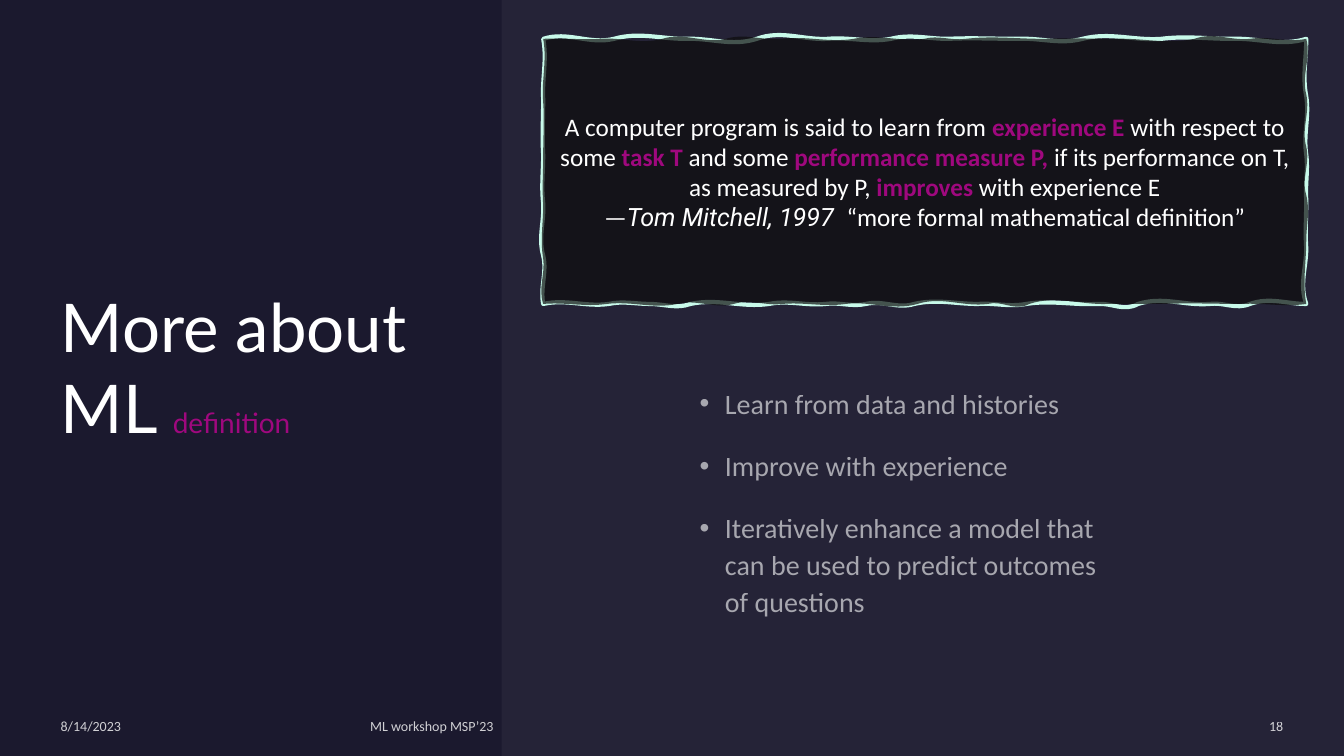
import pptx
import pptx.util
import pptx.dml.color
import pptx.enum.text
import pptx.enum.shapes
import pptx.oxml
import pptx.oxml.ns
from dataclasses import dataclass

Cm, Pt = pptx.util.Cm, pptx.util.Pt
Anchor, Align = pptx.enum.text.MSO_ANCHOR, pptx.enum.text.PP_ALIGN
NAMESPACE = pptx.oxml.ns.nsdecls("a")


@dataclass(frozen=True)
class Theme:
    night: str = "1B192E"
    mist: str = "E4E3F0"
    ink: str = "0D0D0D"
    mint: str = "C8FAEA"
    white: str = "FFFFFF"
    plum: str = "9F087E"
    title_font: str = "Lato"
    body_font: str = "Calibri"
    author_font: str = "Roboto"
    title_size: int = 48
    body_size: int = 20
    quote_size: int = 18
    footer_size: int = 10


THEME = Theme()
STRONG = dict(color=THEME.plum, bold=True)

# A paragraph is a list of (text, format) runs.
TITLE = [[("More about ML ", {}),
          ("definition", dict(size=THEME.body_size, color=THEME.plum))]]
QUOTE = [
    [
        ("A computer program is said to learn from ", {}),
        ("experience E", STRONG),
        (" with respect to some ", {}),
        ("task T", STRONG),
        (" and some ", {}),
        ("performance measure P, ", STRONG),
        ("if its performance on T, as measured by P, ", {}),
        ("improves ", STRONG),
        ("with experience E", {}),
    ],
    [
        ("—", {}),
        ("Tom Mitchell, 1997  ", dict(font=THEME.author_font, italic=True)),
        ("“more formal mathematical definition”", {}),
    ],
]
POINTS = [
    "Learn from data and histories",
    "Improve with experience",
    "Iteratively enhance a model that can be used to predict outcomes of questions",
]
# text, left, width (cm), alignment
FOOTERS = [
    ("8/14/2023", 1.53, 7.32, Align.LEFT),
    ("ML workshop MSP’23", 9.33, 17.73, Align.LEFT),
    ("18", 27.64, 4.7, Align.RIGHT),
]

SLIDE_WIDTH, SLIDE_HEIGHT = 33.87, 19.05
PANEL_LEFT = 12.64
FRAME_LEFT, FRAME_TOP, FRAME_WIDTH, FRAME_HEIGHT = 13.69, 0.98, 19.23, 6.68

# Hand-drawn edges, clockwise from the top left corner. Each wave is
# (end along the edge in cm, first bend in mm, second bend in mm).
BORDER_WAVES = [
    [(1.78, -2, 1.5), (3.58, -1.8, 0), (5.38, -0.3, 2), (7.16, -2.3, 0.3),
     (8.76, -0.5, 1), (10.19, -1.3, 0), (11.96, -0.3, 0), (13.59, -0.3, 1.5),
     (15.57, -1.8, 0.5), (17.35, -0.8, 0), (19.23, -0.3, 2)],
    [(1.45, 0, -1), (2.92, 0.8, -0.8), (4.06, 0.5, -0.3), (5.28, 0, -0.3),
     (6.68, 0, -1.8)],
    [(1.42, 0, -1.8), (2.44, 1.5, -0.5), (4.24, 0.5, -2), (5.26, 2, -0.3),
     (7.06, 0.3, -1), (8.28, 0.8, -0.3), (9.88, 0, -1.3), (11.1, 1.3, -1),
     (12.12, 0.8, -0.5), (13.54, 0.5, -1), (15.52, 1, -1.5), (16.54, 1.3, 0),
     (17.58, 0, -0.8), (19.23, 0.8, -1.3)],
    [(1.22, -0.8, 1), (2.54, -1.3, 0.3), (3.76, -0.5, 0), (5.16, -0.3, 0),
     (6.68, -0.3, 1)],
]
PAPER_WAVES = [
    [(1.4, -0.3, 0.3), (3, -0.5, 1.5), (4.6, -1.8, 1.3), (6.02, -1.5, 0.5),
     (7.82, -0.8, 1), (9.6, -1.3, 0.8), (10.64, -1, 0.5), (12.62, -0.8, 0),
     (14.4, -0.3, 0), (16.41, -0.3, 1.5), (17.81, -1.8, 0.5), (19.23, -0.8, 1)],
    [(1.4, 1.3, -1.3), (2.72, 1, -1.3), (3.94, 1, -1.3), (5.08, 1, 0),
     (6.68, 0, -1)],
    [(1.63, 0.8, -0.3), (3.61, 0, -0.3), (5, 0, 0), (6.98, 0.3, -2.3),
     (8.03, 2, -1), (9.8, 0.8, -2), (11.61, 1.8, -0.8), (13.21, 0.8, -0.5),
     (14.43, 0.5, -1.3), (15.85, 1.3, -1.3), (17.63, 1.3, -0.8), (19.23, 0.8, -0.5)],
    [(1.14, -1.3, 0.5), (2.49, -0.8, 0), (3.76, -0.3, 0), (5.08, 0, 0.3),
     (6.68, -0.5, 1)],
]


def paint(fill, color, alpha=100):
    fill.solid()
    fill.fore_color.rgb = pptx.dml.color.RGBColor.from_string(color)
    if alpha < 100:
        tint = fill._xPr.find(".//" + pptx.oxml.ns.qn("a:srgbClr"))
        tint.append(pptx.oxml.parse_xml(f'<a:alpha {NAMESPACE} val="{alpha * 1000}"/>'))


def add_panel(shapes, left, color, alpha=100):
    """Add a full-height panel from left to the right edge of the slide."""
    panel = shapes.add_shape(pptx.enum.shapes.MSO_SHAPE.RECTANGLE, Cm(left), 0,
                             Cm(SLIDE_WIDTH - left), Cm(SLIDE_HEIGHT))
    panel.shadow.inherit = False
    paint(panel.fill, color, alpha)
    panel.line.fill.background()
    return panel


def add_bullet(para):
    properties = para._p.get_or_add_pPr()
    properties.set("marL", str(Cm(0.64)))
    properties.set("indent", str(Cm(-0.64)))
    for mark in ('buFont {} typeface="Arial"', 'buChar {} char="•"'):
        properties.append(pptx.oxml.parse_xml(f"<a:{mark.format(NAMESPACE)}/>"))


def write(box, paragraphs, size, font=THEME.body_font, color=THEME.white, alpha=100,
          align=Align.LEFT, anchor=Anchor.MIDDLE, inset=True, bullets=False,
          line_spacing=None, before=0, after=0):
    """Fill the box; the format of a run overrides that of the whole text."""
    frame = box.text_frame
    frame.word_wrap = True
    frame.auto_size = pptx.enum.text.MSO_AUTO_SIZE.NONE
    frame.vertical_anchor = anchor
    if not inset:
        frame.margin_left = frame.margin_right = 0
        frame.margin_top = frame.margin_bottom = 0
    for index, runs in enumerate(paragraphs):
        para = frame.add_paragraph() if index else frame.paragraphs[0]
        para.alignment = align
        para.line_spacing = line_spacing
        para.space_before = Pt(before if index else 0)
        para.space_after = Pt(after)
        if bullets:
            add_bullet(para)
        for text, style in runs:
            span = para.add_run()
            span.text = text
            span.font.name = style.get("font", font)
            span.font.size = Pt(style.get("size", size))
            span.font.bold = style.get("bold", False)
            span.font.italic = style.get("italic", False)
            paint(span.font.fill, style.get("color", color), alpha)


def wavy_path(waves, mode):
    """Return a closed path of one Bézier curve per wave, inside the frame."""
    def point(x, y):
        return f'<a:pt x="{int(Cm(x))}" y="{int(Cm(y))}"/>'

    sides = [(0, 0, 1, 0), (FRAME_WIDTH, 0, 0, 1),
             (FRAME_WIDTH, FRAME_HEIGHT, -1, 0), (0, FRAME_HEIGHT, 0, -1)]
    curves = ""
    for (x, y, across, down), edge in zip(sides, waves):
        start = 0
        for end, first, second in edge:
            curves += "<a:cubicBezTo>"
            for share, bend in ((0.35, first), (0.65, second), (1, 0)):
                along = start + (end - start) * share
                curves += point(x + across * along + abs(down) * bend / 10,
                                y + down * along + abs(across) * bend / 10)
            curves += "</a:cubicBezTo>"
            start = end
    size = f'w="{int(Cm(FRAME_WIDTH))}" h="{int(Cm(FRAME_HEIGHT))}"'
    return pptx.oxml.parse_xml(
        f"<a:path {NAMESPACE} {size} {mode}><a:moveTo>{point(0, 0)}</a:moveTo>"
        f"{curves}<a:close/></a:path>")


def add_quote_frame(shapes):
    left, top = Cm(FRAME_LEFT), Cm(FRAME_TOP)
    right, bottom = left + Cm(FRAME_WIDTH), top + Cm(FRAME_HEIGHT)
    builder = shapes.build_freeform(left, top)
    builder.add_line_segments([(right, top), (right, bottom), (left, bottom)])
    frame = builder.convert_to_shape()
    outlines = frame._element.find(".//" + pptx.oxml.ns.qn("a:pathLst"))
    outlines.remove(outlines[0])
    outlines.append(wavy_path(BORDER_WAVES, 'fill="none"'))
    outlines.append(wavy_path(PAPER_WAVES, 'stroke="0"'))
    frame.shadow.inherit = False
    paint(frame.fill, THEME.ink, alpha=70)
    frame.line.width = Pt(3)
    paint(frame.line.fill, THEME.mint)
    return frame


def main():
    deck = pptx.Presentation()
    deck.slide_width, deck.slide_height = Cm(SLIDE_WIDTH), Cm(SLIDE_HEIGHT)
    page = deck.slides.add_slide(deck.slide_layouts[5])
    paint(page.background.fill, THEME.night)
    shapes = page.shapes

    title = shapes.title
    title.left, title.top, title.width, title.height = Cm(1.53), Cm(1.53), Cm(9.91), Cm(15.4)
    write(title, TITLE, THEME.title_size, font=THEME.title_font, inset=False, after=6)
    backdrop = add_panel(shapes, 0, THEME.night)
    title._element.addprevious(backdrop._element)
    add_panel(shapes, PANEL_LEFT, THEME.mist, alpha=5)

    for text, left, width, align in FOOTERS:
        box = shapes.add_textbox(Cm(left), Cm(18.08), Cm(width), Cm(0.43))
        write(box, [[(text, {})]], THEME.footer_size, alpha=80, align=align,
              inset=False, after=6)

    write(add_quote_frame(shapes), QUOTE, THEME.quote_size, align=Align.CENTER)

    box = shapes.add_textbox(Cm(17.38), Cm(9.53), Cm(10.97), Cm(7.11))
    write(box, [[(text, {})] for text in POINTS], THEME.body_size, alpha=60,
          anchor=Anchor.TOP, bullets=True, line_spacing=1.1, before=10, after=8)

    deck.save("out.pptx")


if __name__ == "__main__":
    main()
